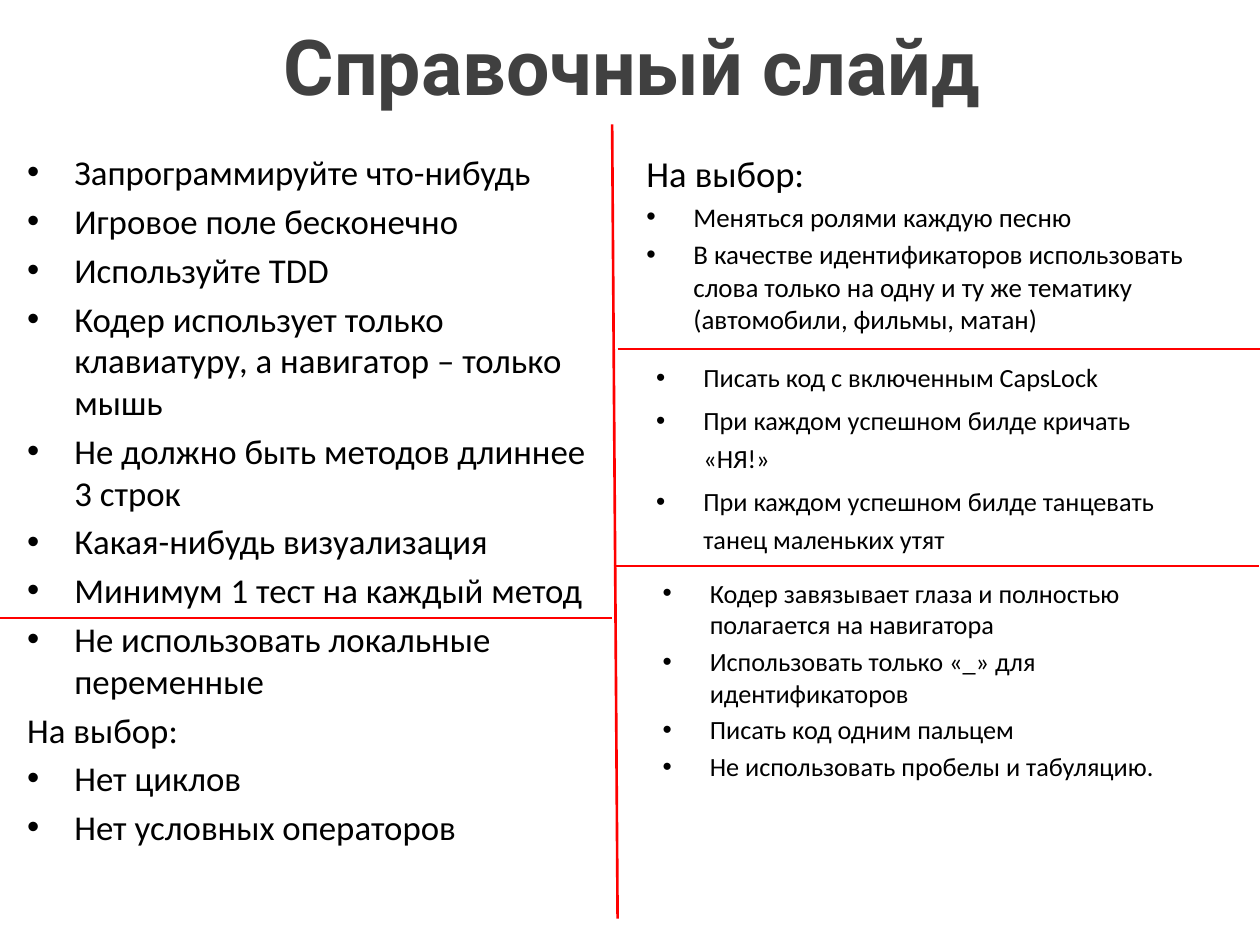
from lxml import etree
from pptx import Presentation
from pptx.dml.color import RGBColor
from pptx.enum import shapes, text
from pptx.oxml import ns
from pptx.util import Cm, Pt

COLORS = {"title": "404040", "body": "000000", "rule": "FF0000"}
INDENT = Cm(0.95)

LEFT_RULES = [
    "Запрограммируйте что-нибудь",
    "Игровое поле бесконечно",
    "Используйте TDD",
    "Кодер использует только клавиатуру, а навигатор – только мышь",
    "Не должно быть методов длиннее 3 строк",
    "Какая-нибудь визуализация",
    "Минимум 1 тест на каждый метод",
    "Не использовать локальные переменные",
]
CHOICE = "На выбор:"
LEFT_CHOICES = ["Нет циклов", "Нет условных операторов"]
EASY_CHOICES = [
    "Меняться ролями каждую песню",
    "В качестве идентификаторов использовать слова только на одну и ту же "
    "тематику (автомобили, фильмы, матан)",
]
LOUD_CHOICES = [
    "Писать код с включенным CapsLock",
    "При каждом успешном билде кричать «НЯ!»",
    "При каждом успешном билде танцевать танец маленьких утят",
]
HARD_CHOICES = [
    "Кодер завязывает глаза и полностью полагается на навигатора",
    "Использовать только «_» для идентификаторов",
    "Писать код одним пальцем",
    "Не использовать пробелы и табуляцию.",
]


def style(p, font, size, color, bold=False):
    for r in p.runs:
        r.font.name = font
        r.font.size = Pt(size)
        r.font.bold = bold
        r.font.color.rgb = RGBColor.from_string(COLORS[color])


def add_box(s, left, top, width, height):
    tf = s.shapes.add_textbox(Cm(left), Cm(top), Cm(width), Cm(height)).text_frame
    tf.word_wrap = True
    return tf


def add_title(s, title):
    tf = add_box(s, 1.32, -0.28, 22.86, 3.18)
    tf.vertical_anchor = text.MSO_ANCHOR.MIDDLE
    p = tf.paragraphs[0]
    p.text = title
    p.alignment = text.PP_ALIGN.CENTER
    style(p, "Roboto", 44, "title", bold=True)


def add_bullet(p):
    pPr = p._p.get_or_add_pPr()
    pPr.set("marL", str(INDENT))
    pPr.set("indent", str(-INDENT))
    etree.SubElement(pPr, ns.qn("a:buFont")).set("typeface", "Arial")
    etree.SubElement(pPr, ns.qn("a:buChar")).set("char", "•")


def add_list(s, box, items, size, heading_size=None, spacing=1.0):
    """Bulleted list in which each CHOICE item is a heading without a bullet."""
    tf = add_box(s, *box)
    for i, item in enumerate(items):
        p = tf.add_paragraph() if i else tf.paragraphs[0]
        p.text = item
        is_heading = item == CHOICE
        pt = heading_size if is_heading and heading_size else size
        p.space_before = Pt(round(pt * 0.2, 1))
        p.line_spacing = spacing
        if not is_heading:
            add_bullet(p)
        style(p, "Calibri", pt, "body")


def add_rule(s, x1, y1, x2, y2, width=1.1):
    line = s.shapes.add_connector(
        shapes.MSO_CONNECTOR.STRAIGHT, Cm(x1), Cm(y1), Cm(x2), Cm(y2))
    line.line.color.rgb = RGBColor.from_string(COLORS["rule"])
    line.line.width = Pt(width)
    etree.SubElement(line._element.spPr, ns.qn("a:effectLst"))


def main():
    prs = Presentation()
    prs.slide_width, prs.slide_height = Cm(25.4), Cm(19.05)
    s = prs.slides.add_slide(prs.slide_layouts[6])

    add_title(s, "Справочный слайд")
    add_list(s, (0.3, 2.92, 12.09, 14.4),
             LEFT_RULES + [CHOICE] + LEFT_CHOICES, 19.9)
    add_rule(s, 12.34, 2.51, 12.45, 18.52, width=1.5)
    add_list(s, (12.78, 2.92, 11.46, 4.8),
             [CHOICE] + EASY_CHOICES, 15.4, heading_size=20.9)
    add_rule(s, 12.45, 7.04, 25.45, 7.04)
    add_list(s, (12.98, 7.04, 11.05, 4.8), LOUD_CHOICES, 15, spacing=1.2)
    add_rule(s, -0.05, 12.46, 12.34, 12.46)
    add_rule(s, 12.37, 11.41, 25.37, 11.41)
    add_list(s, (13.11, 11.51, 11.91, 5.59), HARD_CHOICES, 15)

    prs.save("out.pptx")


if __name__ == "__main__":
    main()
